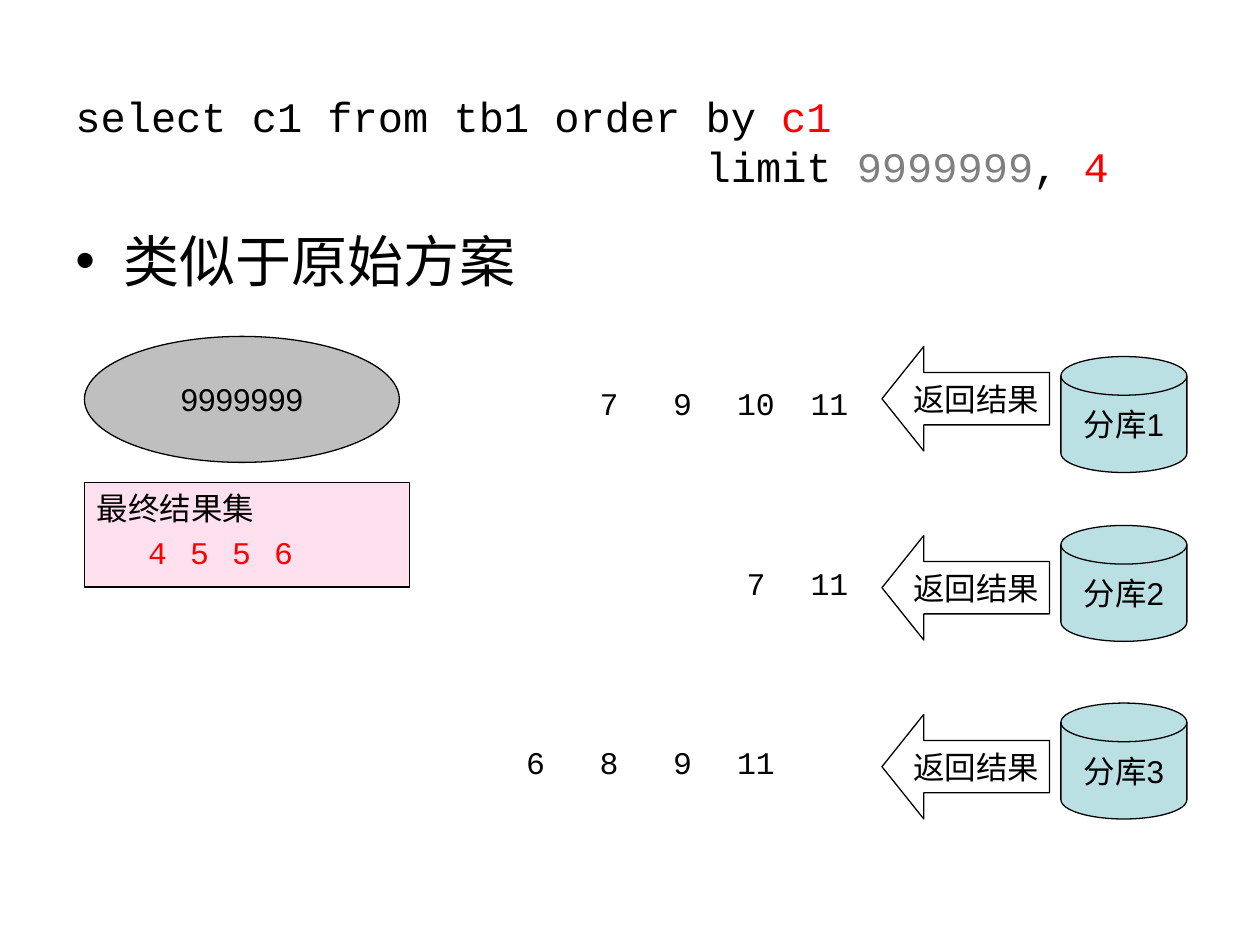
from dataclasses import dataclass

import pptx
import pptx.dml.color
import pptx.enum.shapes
import pptx.enum.text
import pptx.oxml
import pptx.oxml.ns
import pptx.util
from lxml import etree

Inches = pptx.util.Inches
SHAPES = pptx.enum.shapes.MSO_SHAPE
ALIGN = pptx.enum.text.PP_ALIGN
ANCHOR = pptx.enum.text.MSO_ANCHOR


@dataclass(frozen=True)
class Theme:
    black: str = "000000"
    red: str = "FF0000"
    gray: str = "808080"
    pink: str = "FF99CC"
    teal: str = "BBE0E3"
    sans: str = "Arial"
    mono: str = "Courier New"
    chinese: str = "Noto Sans CJK SC"
    label: int = 18
    code: int = 24
    body: int = 32


theme = Theme()


def write_text(shape, text, color=theme.black, size=theme.label, font=theme.sans,
               align=ALIGN.CENTER, anchor=ANCHOR.TOP, wrap=True, bullet=False):
    """Fill a shape with text: a string, or (text, color) runs where None is a line break."""
    frame = shape.text_frame
    frame.word_wrap = wrap
    frame.vertical_anchor = anchor
    paragraph = frame.paragraphs[0]
    paragraph.alignment = align
    if bullet:
        properties = paragraph._p.get_or_add_pPr()
        properties.set("marL", str(Inches(0.38)))
        properties.set("indent", str(Inches(-0.38)))
        for tag, name, value in (("a:buFont", "typeface", theme.sans), ("a:buChar", "char", "•")):
            etree.SubElement(properties, pptx.oxml.ns.qn(tag)).set(name, value)
    for part in [(text, color)] if isinstance(text, str) else text:
        if part is None:
            paragraph.add_line_break()
            continue
        run = paragraph.add_run()
        run.text, run_color = part
        run.font.size = pptx.util.Pt(size)
        run.font.name = font
        run.font.color.rgb = pptx.dml.color.RGBColor.from_string(run_color)
        east_asian = etree.SubElement(run._r.get_or_add_rPr(), pptx.oxml.ns.qn("a:ea"))
        east_asian.set("typeface", theme.chinese)


def add_outlined_shape(kind, left, top, width, height, fill=None, opacity=100):
    shape = slide.shapes.add_shape(kind, Inches(left), Inches(top), Inches(width), Inches(height))
    shape.shadow.inherit = False
    shape.line.color.rgb = pptx.dml.color.RGBColor.from_string(theme.black)
    shape.line.width = pptx.util.Pt(0.75)
    if fill is None:
        shape.fill.background()
        return shape
    shape.fill.solid()
    shape.fill.fore_color.rgb = pptx.dml.color.RGBColor.from_string(fill)
    if opacity < 100:
        color = shape._element.spPr.find(pptx.oxml.ns.qn("a:solidFill"))[0]
        etree.SubElement(color, pptx.oxml.ns.qn("a:alpha")).set("val", str(opacity * 1000))
    return shape


presentation = pptx.Presentation()
presentation.slide_width = Inches(10)
presentation.slide_height = Inches(7.5)
slide = presentation.slides.add_slide(presentation.slide_layouts[6])

# Query and heading
query = slide.shapes.add_textbox(Inches(0.5), Inches(0.67), Inches(9.08), Inches(0.9))
write_text(query, [
    ("select c1 from tb1 order by ", theme.black),
    ("c1 ", theme.red),
    None,
    (" " * 25 + "limit ", theme.black),
    ("9999999", theme.gray),
    (", ", theme.black),
    ("4", theme.red),
], size=theme.code, font=theme.mono, align=ALIGN.LEFT)

heading = slide.shapes.add_textbox(Inches(0.5), Inches(1.75), Inches(9), Inches(4.95))
write_text(heading, "类似于原始方案", size=theme.body, font=theme.chinese,
           align=ALIGN.LEFT, bullet=True)

# Skipped rows and final result set
skipped = add_outlined_shape(SHAPES.OVAL, 0.67, 2.67, 2.5, 1, theme.gray, 50)
write_text(skipped, "9999999", anchor=ANCHOR.MIDDLE, wrap=False)
result = add_outlined_shape(SHAPES.RECTANGLE, 0.67, 3.83, 2.58, 0.83, theme.pink, 30)
write_text(result, "最终结果集", align=ALIGN.LEFT, wrap=False)

# Numbers as (left, top, value, color): the final set, then one row per shard
numbers = [(1 + column / 3, 4.18, value, theme.red) for column, value in enumerate((4, 5, 5, 6))]

# Shards: disk top, arrow top, number top, first number column, numbers
shards = [
    (2.83, 2.75, 3.0, 1, (7, 9, 10, 11)),
    (4.17, 4.25, 4.43, 3, (7, 11)),
    (5.58, 5.67, 5.85, 0, (6, 8, 9, 11)),
]
for index, (disk_top, arrow_top, number_top, first, values) in enumerate(shards, start=1):
    disk = add_outlined_shape(SHAPES.FLOWCHART_MAGNETIC_DISK, 8.42, disk_top, 1, 0.92, theme.teal)
    write_text(disk, f"分库{index}", anchor=ANCHOR.MIDDLE, wrap=False)
    arrow = add_outlined_shape(SHAPES.LEFT_ARROW, 7, arrow_top, 1.33, 0.83)
    arrow.adjustments[0] = 0.5
    arrow.adjustments[1] = 0.4
    write_text(arrow, "返回结果", anchor=ANCHOR.MIDDLE, wrap=False)
    for column, value in enumerate(values, start=first):
        numbers.append((4 + column * 7 / 12, number_top, value, theme.black))

for left, top, value, color in numbers:
    number = slide.shapes.add_textbox(Inches(left), Inches(top), Inches(0.5), Inches(0.4))
    write_text(number, str(value), color=color, font=theme.mono)

presentation.save("out.pptx")
